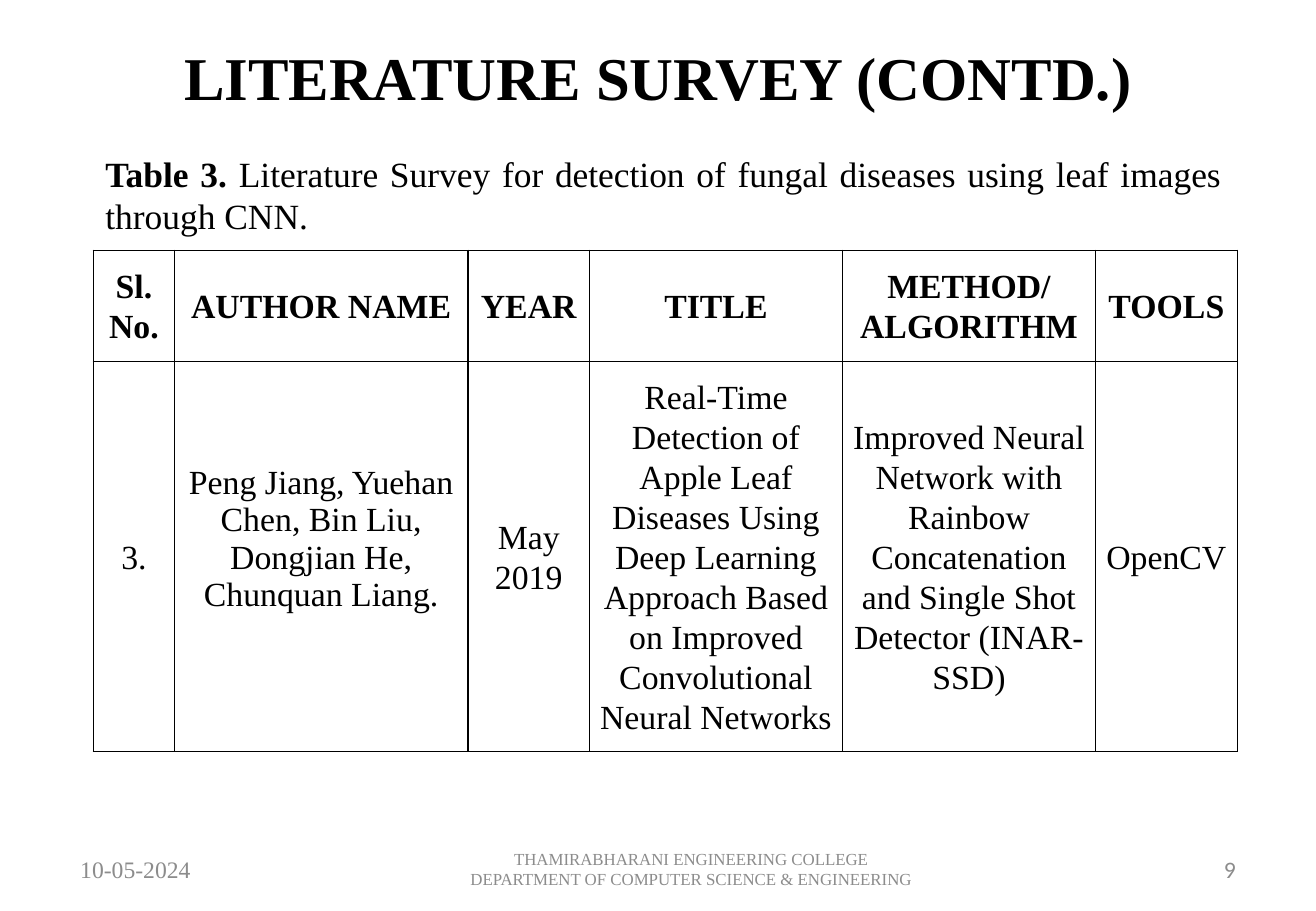
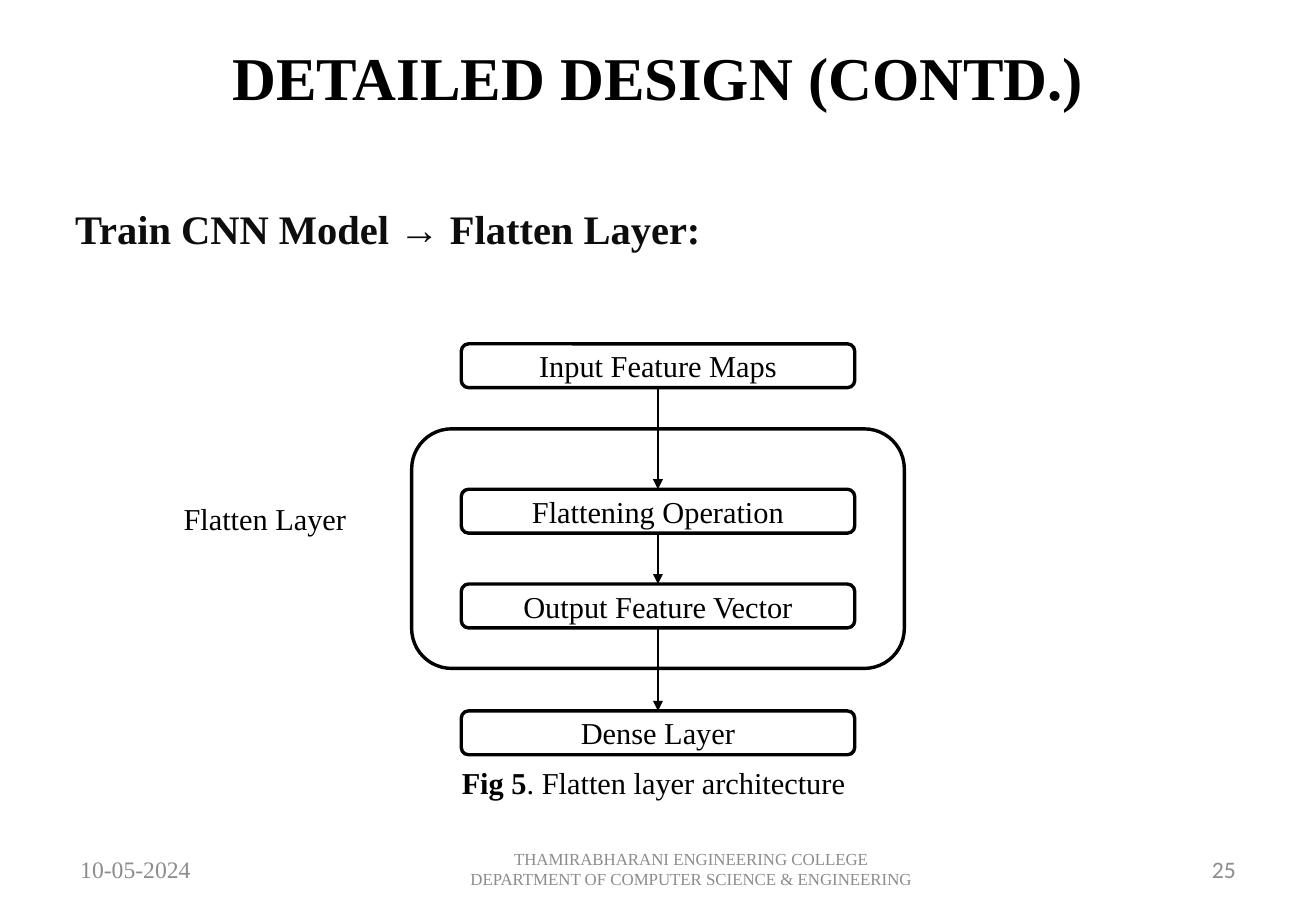
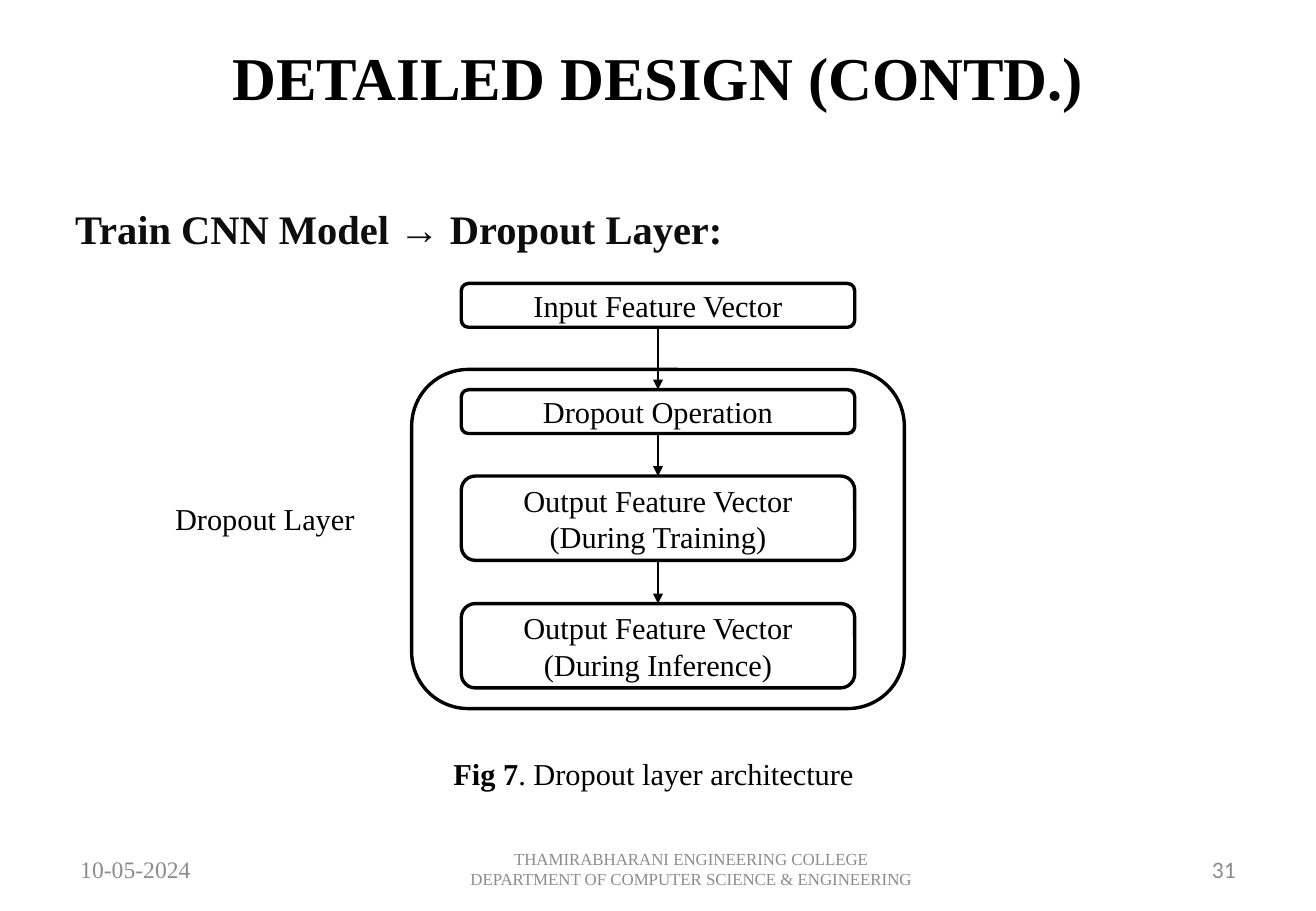
from dataclasses import dataclass

from lxml import etree
from pptx import Presentation
from pptx import util as u
from pptx.dml import color
from pptx.enum import shapes, text
from pptx.oxml import ns

Pt = u.Pt
MIDDLE = text.MSO_ANCHOR.MIDDLE
LEFT, CENTER, RIGHT, JUSTIFY = (
    text.PP_ALIGN.LEFT, text.PP_ALIGN.CENTER, text.PP_ALIGN.RIGHT, text.PP_ALIGN.JUSTIFY)


@dataclass(frozen=True)
class Theme:
    """Colours, fonts and type sizes shared by all slides."""
    ink: str = "000000"
    heading_ink: str = "0D0D0D"
    muted: str = "8C8C8C"
    paper: str = "FFFFFF"
    serif: str = "Times New Roman"
    sans: str = "Calibri"
    title: int = 36
    heading: int = 24
    caption: int = 21
    cell: int = 20
    diagram: int = 18
    footer: int = 14
    college: int = 10
    outline: float = 2
    rule: float = 1
    arrow: float = 0.75


@dataclass(frozen=True)
class Box:
    """A rectangle in points."""
    left: float
    top: float
    width: float
    height: float

    def within(self, left, top, width, height):
        """Return a box offset from this one's corner."""
        return Box(self.left + left, self.top + top, width, height)

    def centered(self, top, width, height):
        """Return a box on this one's vertical axis."""
        return self.within((self.width - width) / 2, top, width, height)

    def lengths(self):
        """Return the four lengths for python-pptx."""
        return [Pt(v) for v in (self.left, self.top, self.width, self.height)]


THEME = Theme()
SLIDE = Box(0, 0, 780, 540)
CONTENT = Box(55.4, 86.4, 678, 361)
DIAGRAM = Box(76, 168, 628, 312)
PLACEHOLDER_INSETS = dict(margin_left=Pt(8.53), margin_right=Pt(8.53),
                          margin_top=Pt(4.26), margin_bottom=Pt(4.26))
CELL_INSETS = dict(margin_left=Pt(5.4), margin_right=Pt(5.4),
                   margin_top=0, margin_bottom=0, vertical_anchor=MIDDLE)


def assign(target, values):
    """Set every attribute listed in a dict of format values."""
    for key, value in values.items():
        setattr(target, key, value)


def rgb(code):
    """Return the colour for a hex code."""
    return color.RGBColor.from_string(code)


def write(frame, paragraphs, size, align=CENTER, ink=THEME.ink,
          font=THEME.serif, bold=False, spacing=None):
    """Fill a text frame with paragraphs given as strings or (text, bold) runs."""
    frame.word_wrap = True
    for index, runs in enumerate(paragraphs):
        paragraph = frame.paragraphs[0] if index == 0 else frame.add_paragraph()
        assign(paragraph, dict(alignment=align, line_spacing=spacing))
        for words, weight in [(runs, bold)] if isinstance(runs, str) else runs:
            run = paragraph.add_run()
            run.text = words
            assign(run.font, dict(name=font, size=Pt(size), bold=weight))
            run.font.color.rgb = rgb(ink)


def add_text(slide, box, paragraphs, size, frame_format=None, **style):
    """Add a text box."""
    frame = slide.shapes.add_textbox(*box.lengths()).text_frame
    assign(frame, frame_format or {})
    write(frame, paragraphs, size, **style)


def add_panel(slide, box, paragraphs=(), rounded=True, filled=True, outlined=True):
    """Add a diagram panel with optional fill, outline and text."""
    kind = shapes.MSO_SHAPE.ROUNDED_RECTANGLE if rounded else shapes.MSO_SHAPE.RECTANGLE
    panel = slide.shapes.add_shape(kind, *box.lengths())
    panel.shadow.inherit = False
    if filled:
        panel.fill.solid()
        panel.fill.fore_color.rgb = rgb(THEME.paper)
    else:
        panel.fill.background()
    if outlined:
        panel.line.color.rgb = rgb(THEME.ink)
        panel.line.width = Pt(THEME.outline)
    else:
        panel.line.fill.background()
    panel.text_frame.vertical_anchor = MIDDLE
    write(panel.text_frame, paragraphs, THEME.diagram)
    return panel


def add_arrow(slide, upper, lower):
    """Join the bottom of one panel to the top of the next."""
    arrow = slide.shapes.add_connector(shapes.MSO_CONNECTOR.STRAIGHT, 0, 0, 0, 0)
    arrow.begin_connect(upper, 2)
    arrow.end_connect(lower, 0)
    arrow.line.color.rgb = rgb(THEME.ink)
    arrow.line.width = Pt(THEME.arrow)
    properties = arrow._element.spPr
    etree.SubElement(properties.find(ns.qn("a:ln")), ns.qn("a:tailEnd"), type="triangle")
    etree.SubElement(properties, ns.qn("a:effectLst"))


def add_borders(cell):
    """Rule all four sides of a table cell."""
    properties = cell._tc.get_or_add_tcPr()
    for side in ("a:lnL", "a:lnR", "a:lnT", "a:lnB"):
        line = etree.SubElement(properties, ns.qn(side), w=str(Pt(THEME.rule)))
        fill = etree.SubElement(line, ns.qn("a:solidFill"))
        etree.SubElement(fill, ns.qn("a:srgbClr"), val=THEME.ink)


def add_footer(slide, box, number):
    """Add the date, the college and the page number."""
    middle = dict(PLACEHOLDER_INSETS, vertical_anchor=MIDDLE)
    college = "THAMIRABHARANI ENGINEERING COLLEGE DEPARTMENT OF COMPUTER SCIENCE & ENGINEERING"
    parts = (
        (39, 182, "10-05-2024", THEME.footer, LEFT, THEME.serif),
        (266.5, 286, college, THEME.college, CENTER, THEME.serif),
        (559, 182, str(number), THEME.footer, RIGHT, THEME.sans),
    )
    for left, width, words, size, align, font in parts:
        add_text(slide, box.within(left, 0, width, box.height), [words], size, middle,
                 align=align, ink=THEME.muted, font=font)


def start_slide(deck, title, number):
    """Add a blank slide with the shared title and footer."""
    slide = deck.slides.add_slide(deck.slide_layouts[6])
    add_text(slide, SLIDE.within(0, 0, SLIDE.width, 90), [title], THEME.title,
             dict(PLACEHOLDER_INSETS, vertical_anchor=MIDDLE), bold=True)
    add_footer(slide, SLIDE.within(0, 500.5, SLIDE.width, 28.8), number)
    return slide


def add_survey(slide, box, caption, rows):
    """Add the captioned survey table."""
    widths, heights = (48, 174, 72, 150, 150, 84), (66, 225)
    author_column = 1
    add_text(slide, box.within(0, 0, 676, 58), [caption], THEME.caption, align=JUSTIFY)
    area = box.within(0, 62, sum(widths), sum(heights))
    survey = slide.shapes.add_table(len(rows), len(widths), *area.lengths()).table
    assign(survey, dict(first_row=False, horz_banding=False))
    for column, width in zip(survey.columns, widths):
        column.width = Pt(width)
    for r, (row, height) in enumerate(zip(rows, heights)):
        survey.rows[r].height = Pt(height)
        for c, words in enumerate(row):
            cell = survey.cell(r, c)
            authors = r > 0 and c == author_column
            assign(cell, dict(CELL_INSETS, margin_bottom=Pt(21 if authors else 0)))
            write(cell.text_frame, words.split("\n"), THEME.cell, bold=r == 0,
                  spacing=None if authors else 1.07)
            add_borders(cell)
            cell.fill.background()


def add_flow(slide, box, layer, steps, frame, figure, caption_top):
    """Add a column of linked steps, the layer frame, its label and the caption."""
    add_panel(slide, box.within(0, 126, 162, 26), [f"{layer} Layer"], outlined=False)
    panels = [add_panel(slide, box.centered(top, 233.2, height), [words])
              for words, top, height in steps]
    for upper, lower in zip(panels, panels[1:]):
        add_arrow(slide, upper, lower)
    frame_top, frame_height = frame
    add_panel(slide, box.centered(frame_top, 292, frame_height), filled=False)
    caption = [(figure, True), (f". {layer} layer architecture", False)]
    add_panel(slide, box.within(92.4, caption_top, 438, 25), [caption],
              rounded=False, outlined=False)


def build_survey_slide(deck):
    """Build the literature survey slide."""
    slide = start_slide(deck, "LITERATURE SURVEY (CONTD.)", 9)
    caption = [("Table 3. ", True),
               ("Literature Survey for detection of fungal diseases using leaf images "
                "through CNN.", False)]
    rows = (
        ("Sl. No.", "AUTHOR NAME", "YEAR", "TITLE", "METHOD/\nALGORITHM", "TOOLS"),
        ("3.",
         "Peng Jiang, Yuehan Chen, Bin Liu, Dongjian He, Chunquan Liang.",
         "May 2019",
         "Real-Time Detection of Apple Leaf Diseases Using Deep Learning Approach "
         "Based on Improved Convolutional Neural Networks",
         "Improved Neural Network with Rainbow Concatenation and Single Shot "
         "Detector (INAR-SSD)",
         "OpenCV"),
    )
    add_survey(slide, CONTENT, caption, rows)


def build_design_slide(deck, number, layer, **flow):
    """Build a detailed design slide for one network layer."""
    slide = start_slide(deck, "DETAILED DESIGN (CONTD.)", number)
    add_text(slide, SLIDE.within(36, 102.5, 702, 52), [f"Train CNN Model → {layer} Layer:"],
             THEME.heading, PLACEHOLDER_INSETS, align=JUSTIFY, ink=THEME.heading_ink,
             bold=True, spacing=1.5)
    add_flow(slide, DIAGRAM, layer, **flow)


def main():
    """Build and save the deck."""
    deck = Presentation()
    assign(deck, dict(slide_width=Pt(SLIDE.width), slide_height=Pt(SLIDE.height)))
    build_survey_slide(deck)
    single, double = 26, 50
    build_design_slide(
        deck, 25, "Flatten", figure="Fig 5", frame=(86.2, 142), caption_top=283.5,
        steps=(("Input Feature Maps", 35.8, single),
               ("Flattening Operation", 122, single),
               ("Output Feature Vector", 178.2, single),
               ("Dense Layer", 253.4, single)))
    build_design_slide(
        deck, 31, "Dropout", figure="Fig 7", frame=(51, 201), caption_top=278,
        steps=(("Input Feature Vector", 0, single),
               ("Dropout Operation", 63, single),
               ("Output Feature Vector (During Training)", 114.2, double),
               ("Output Feature Vector (During Inference)", 189.8, double)))
    deck.save("out.pptx")


if __name__ == "__main__":
    main()
